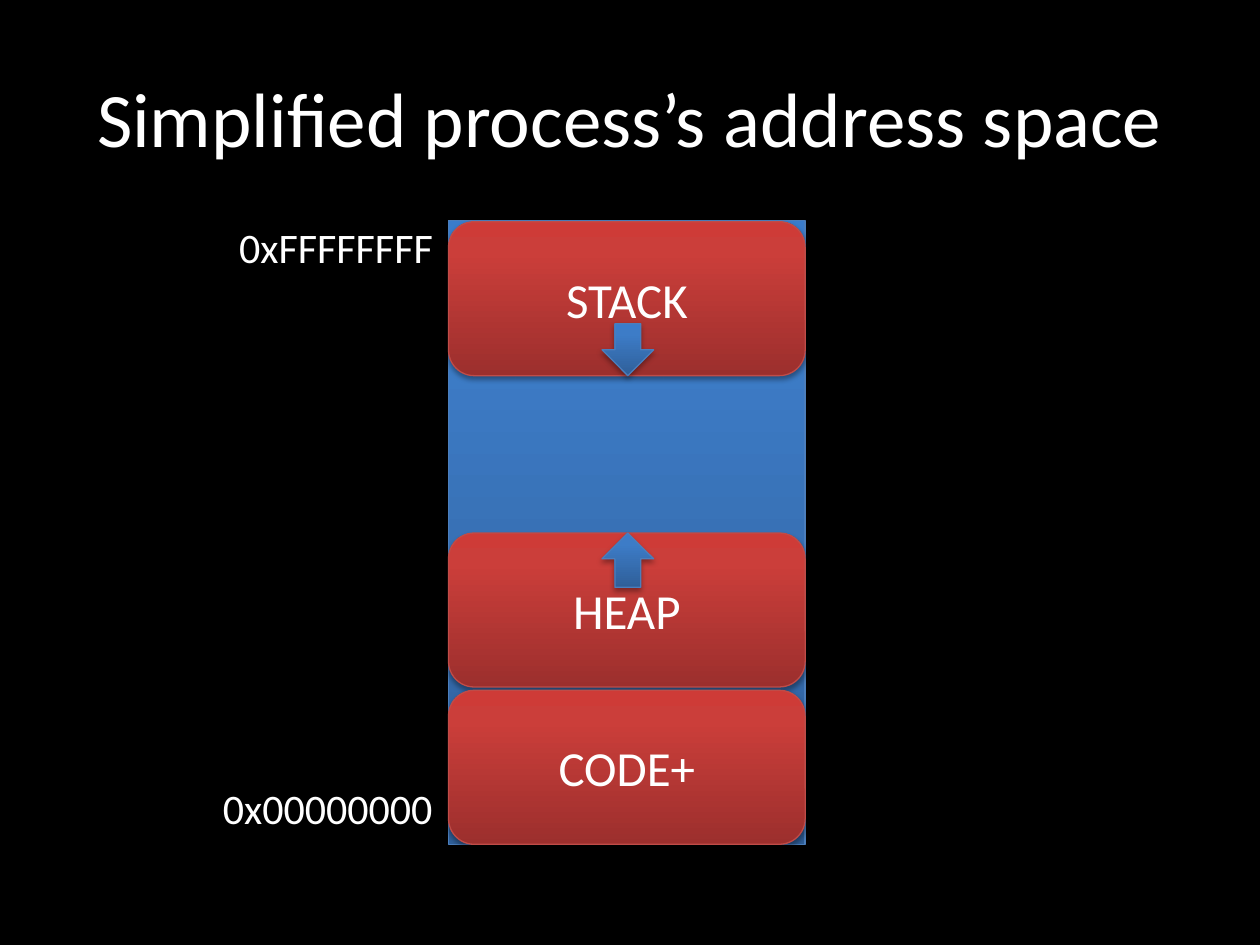
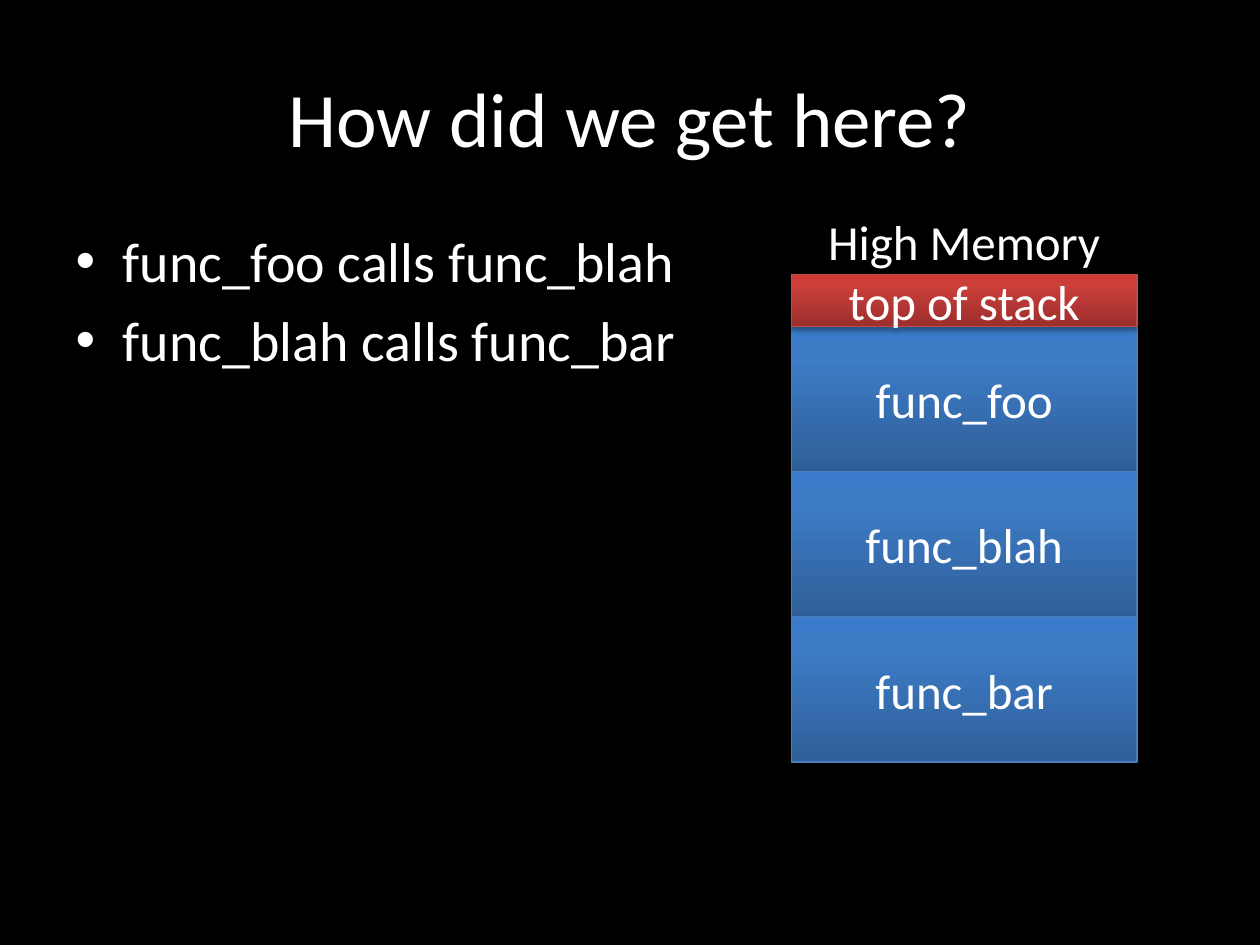
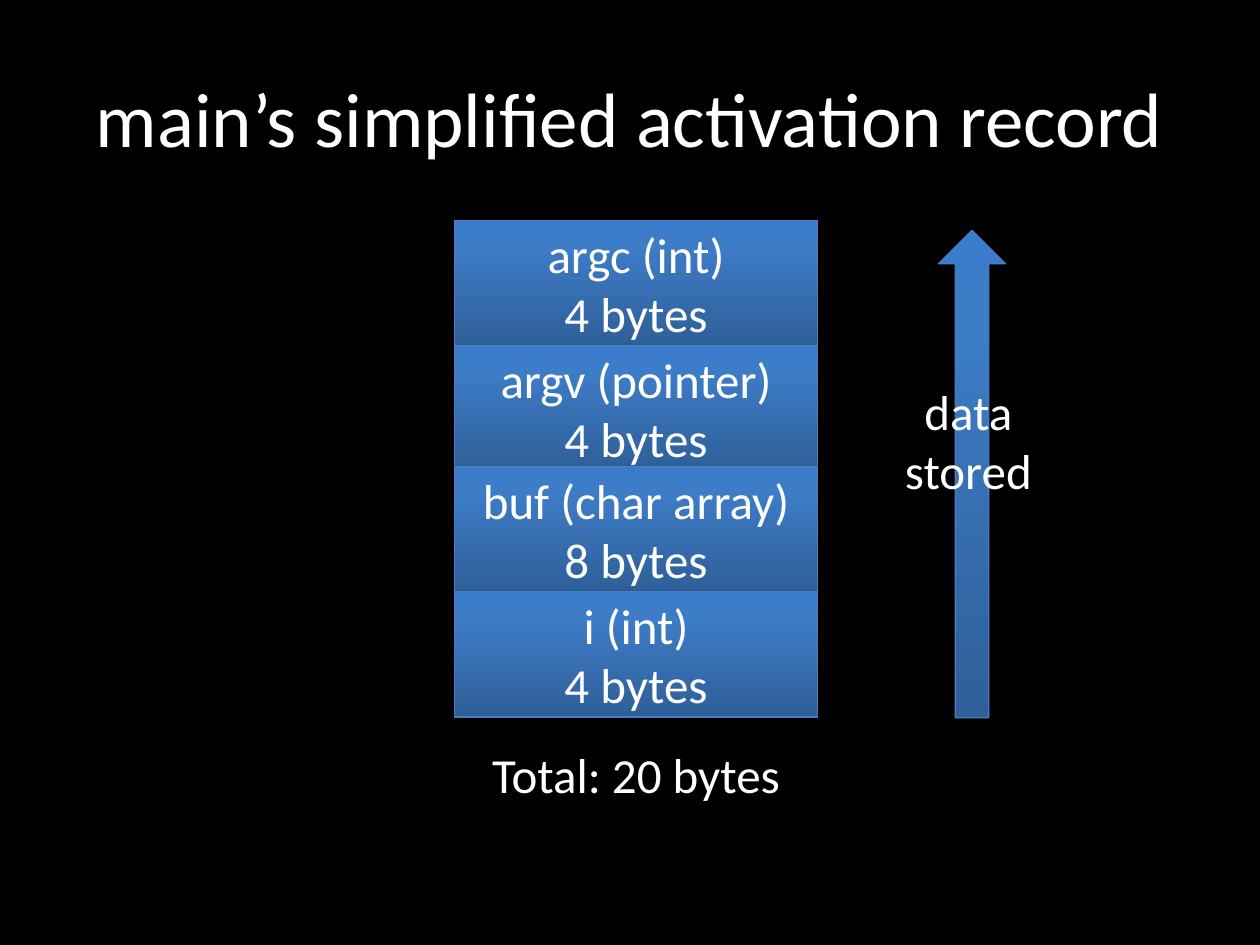
import copy

import lxml.etree
import pptx
import pptx.dml.color
import pptx.enum.shapes
import pptx.enum.text
import pptx.oxml.ns
import pptx.util

Pt = pptx.util.Pt
qn = pptx.oxml.ns.qn
MSO_SHAPE = pptx.enum.shapes.MSO_SHAPE
PP_ALIGN = pptx.enum.text.PP_ALIGN
MSO_ANCHOR = pptx.enum.text.MSO_ANCHOR
MSO_AUTO_SIZE = pptx.enum.text.MSO_AUTO_SIZE

BLUE = {"stops": ("2F5F99", "3D7CC7", "3A7CCB"), "line": "4B7EBC"}
RED = {"stops": ("9C2F2D", "CB3E3A", "CE3B37"), "line": "BF4C48"}


def rgb(value):
    return pptx.dml.color.RGBColor.from_string(value)


class Deck:
    font = "Calibri"
    text_color = "FFFFFF"
    back_color = "000000"
    title_size = 44
    body_size = 32
    label_size = 28
    title_box = (36, 21.6, 648, 90)
    body_box = (36, 126, 648, 356.4)
    stop_positions = (0, 0.8, 1)

    def __init__(self):
        self.prs = pptx.Presentation()
        self.prs.slide_width = Pt(720)
        self.prs.slide_height = Pt(540)
        fill = self.prs.slide_master.background.fill
        fill.solid()
        fill.fore_color.rgb = rgb(self.back_color)
        self.s = None

    def slide(self, title, layout=5):
        self.s = self.prs.slides.add_slide(self.prs.slide_layouts[layout])
        sp = self.s.shapes.title
        self.place(sp, self.title_box)
        sp.text_frame.vertical_anchor = MSO_ANCHOR.MIDDLE
        self.add_lines(sp.text_frame, [title], self.title_size, PP_ALIGN.CENTER)

    def bullets(self, lines):
        sp = self.s.placeholders[1]
        self.place(sp, self.body_box)
        self.add_lines(sp.text_frame, lines, self.body_size)

    def place(self, sp, box):
        sp.left, sp.top, sp.width, sp.height = map(Pt, box)

    def add_lines(self, tf, lines, size, align=None):
        for i, line in enumerate(lines):
            p = tf.add_paragraph() if i else tf.paragraphs[0]
            p.alignment = align
            r = p.add_run()
            r.text = line
            r.font.name = self.font
            r.font.size = Pt(size)
            r.font.color.rgb = rgb(self.text_color)

    def shape(self, kind, box, theme, lines=()):
        sp = self.s.shapes.add_shape(kind, *map(Pt, box))
        self.gradient(sp, theme["stops"])
        sp.line.color.rgb = rgb(theme["line"])
        sp.line.width = Pt(0.75)
        self.shadow(sp)
        tf = sp.text_frame
        tf.word_wrap = True
        tf.vertical_anchor = MSO_ANCHOR.MIDDLE
        self.add_lines(tf, lines, self.label_size, PP_ALIGN.CENTER)

    def gradient(self, sp, colors):
        sp.fill.gradient()
        sp.fill.gradient_angle = 90
        stops = sp._element.spPr.find(".//" + qn("a:gsLst"))
        stops.append(copy.deepcopy(stops[-1]))
        for stop, color, position in zip(sp.fill.gradient_stops, colors, self.stop_positions):
            stop.color.rgb = rgb(color)
            stop.position = position

    def shadow(self, sp):
        sp.shadow.inherit = False
        effects = sp._element.spPr.find(qn("a:effectLst"))
        outer = lxml.etree.SubElement(
            effects, qn("a:outerShdw"), blurRad=str(Pt(3.1)), dist=str(Pt(1.8)),
            dir="5400000", rotWithShape="0")
        color = lxml.etree.SubElement(outer, qn("a:srgbClr"), val="000000")
        lxml.etree.SubElement(color, qn("a:alpha"), val="35000")

    def text(self, box, line, size=label_size, align=PP_ALIGN.CENTER, wrap=True):
        tf = self.s.shapes.add_textbox(*map(Pt, box)).text_frame
        tf.word_wrap = wrap
        tf.auto_size = MSO_AUTO_SIZE.SHAPE_TO_FIT_TEXT
        self.add_lines(tf, [line], size, align)


def address_space(deck):
    deck.slide("Simplified process’s address space")
    left, width, height = 256.3, 203.8, 88
    deck.shape(MSO_SHAPE.RECTANGLE, (left, 126, width, 356.4), BLUE)
    for name, top in (("STACK", 126.7), ("HEAP", 304.6), ("CODE+", 394.5)):
        deck.shape(MSO_SHAPE.ROUNDED_RECTANGLE, (left, top, width, height), RED, [name])
    deck.shape(MSO_SHAPE.UP_ARROW, (344, 304.6, 29.5, 31), BLUE)
    deck.shape(MSO_SHAPE.DOWN_ARROW, (344, 185, 29.5, 29.7), BLUE)
    for address, box in (("0xFFFFFFFF", (129.6, 123.1, 126.7, 36)),
                         ("0x00000000", (120.3, 443.5, 135.6, 36))):
        deck.text(box, address, 24, PP_ALIGN.LEFT, wrap=False)


def call_stack(deck):
    deck.slide("How did we get here?", layout=1)
    deck.bullets(["func_foo calls func_blah", "func_blah calls func_bar"])
    left, top, width, height = 452.2, 186.5, 197.5, 83
    for i, name in enumerate(("func_foo", "func_blah", "func_bar")):
        deck.shape(MSO_SHAPE.RECTANGLE, (left, top + i * height, width, height), BLUE, [name])
    deck.shape(MSO_SHAPE.RECTANGLE, (left, 157, width, 29.5), RED, ["top of stack"])
    deck.text((left, 117.4, width, 41), "High Memory")


def activation_record(deck):
    deck.slide("main’s simplified activation record")
    left, width, height = 259.7, 207.4, 71.5
    for top, name, size in ((126, "argc (int)", 4), (197.5, "argv (pointer)", 4),
                            (266.6, "buf (char array)", 8), (338.2, "i (int)", 4)):
        deck.shape(MSO_SHAPE.RECTANGLE, (left, top, width, height), BLUE,
                   [name, f"{size} bytes"])
    deck.text((left, 422, width, 41), "Total: 20 bytes")
    deck.shape(MSO_SHAPE.UP_ARROW, (536.4, 131.6, 38.2, 278.6), BLUE)
    deck.text((492.5, 214.6, 121.7, 75), "data stored")


def main():
    deck = Deck()
    address_space(deck)
    call_stack(deck)
    activation_record(deck)
    deck.prs.save("out.pptx")


if __name__ == "__main__":
    main()
